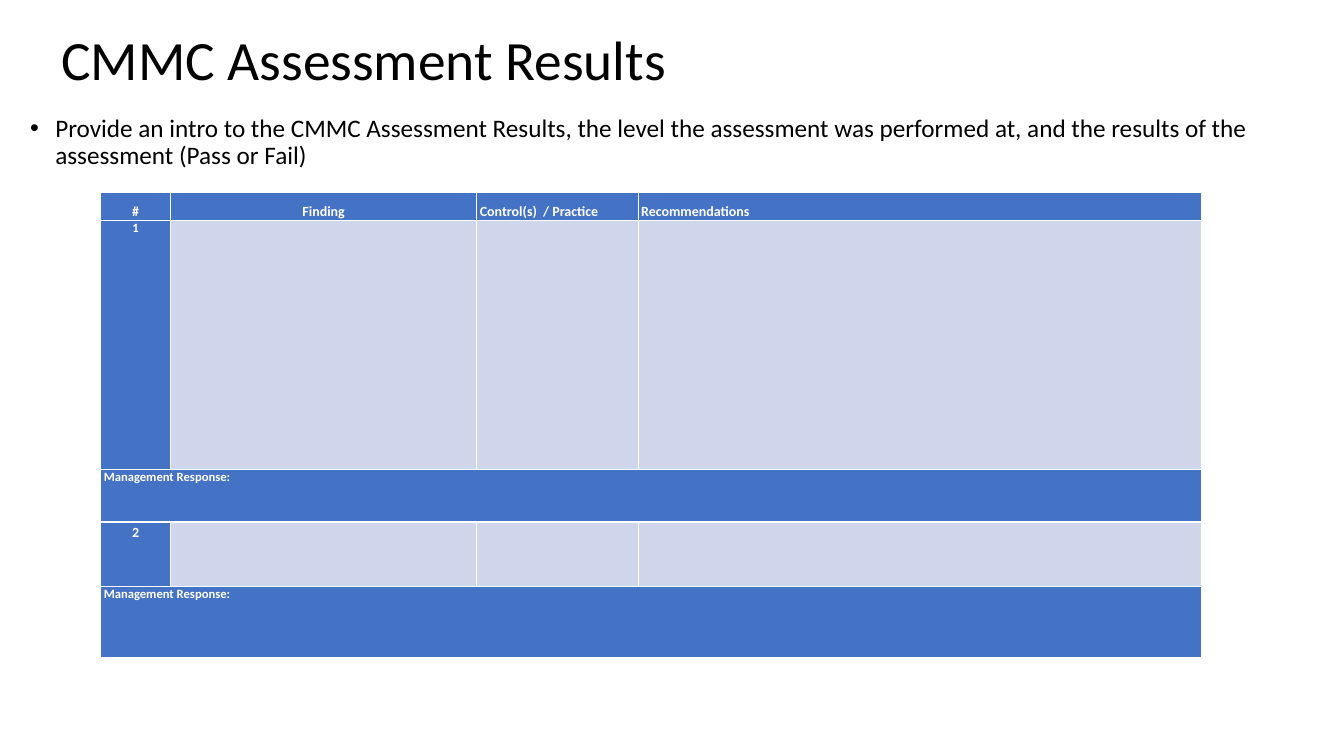
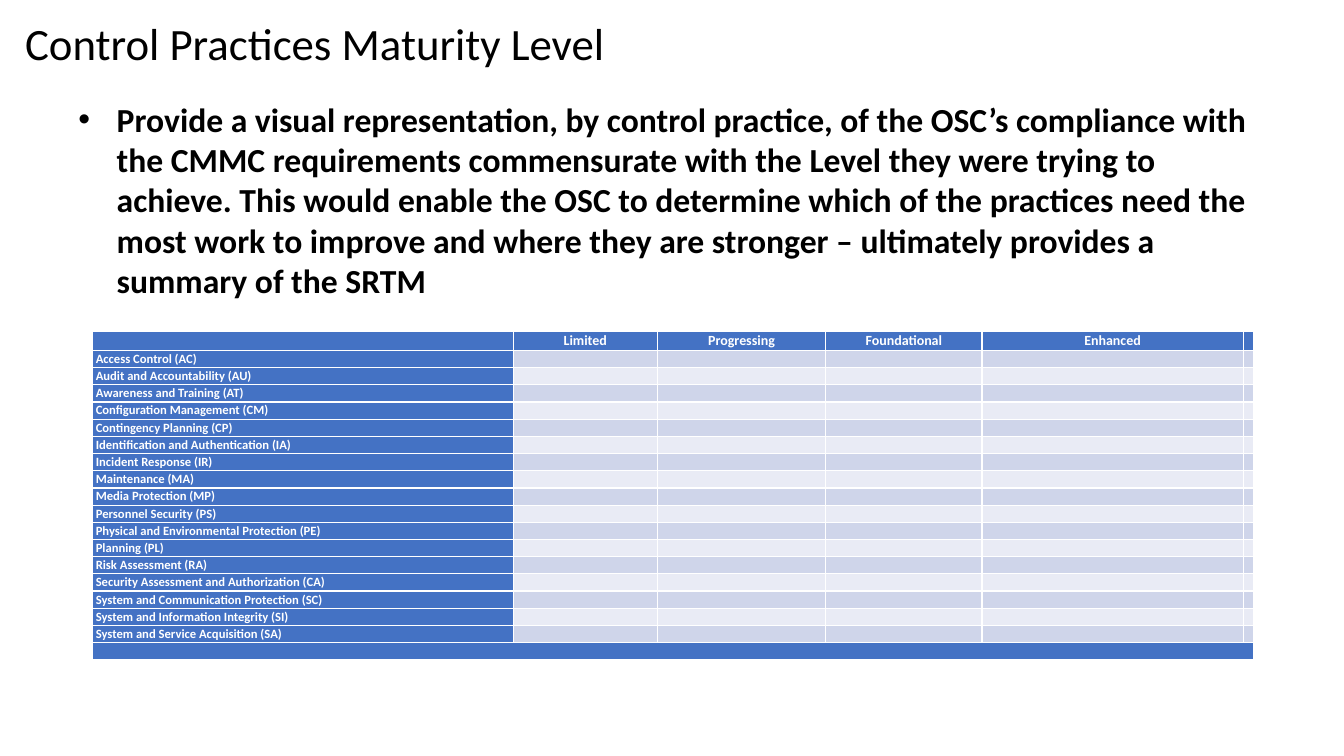
from lxml import etree
from pptx import Presentation
from pptx.dml.color import RGBColor
from pptx.enum.text import MSO_ANCHOR, PP_ALIGN
from pptx.oxml.ns import qn
from pptx.util import Inches, Pt

CENTER = PP_ALIGN.CENTER
TOP, MIDDLE, BOTTOM = MSO_ANCHOR.TOP, MSO_ANCHOR.MIDDLE, MSO_ANCHOR.BOTTOM
COLORS = {"text": "000000", "header": "4472C4", "header_text": "FFFFFF",
          "odd_band": "CFD5EA", "even_band": "E9EBF5"}
FONT = "Calibri"

RESULTS_TITLE = "CMMC Assessment Results"
RESULTS_INTRO = ("Provide an intro to the CMMC Assessment Results, the level the assessment was "
                 "performed at, and the results of the assessment (Pass or Fail)")
FINDING_HEADERS = ["#", "Finding", "Control(s)  / Practice", "Recommendations"]
FINDING_COLUMNS = [0.69, 3.04, 1.6, 5.59]
FINDING_ROWS = [0.28, 2.47, 0.52, 0.64, 0.7]
RESPONSE = "Management Response:"
EXACT = {"line_spacing": Pt(14), "size": 10}
LOOSE = {"before": 1.5, "after": 1.5, "size": 9}
FINDINGS = [("1", LOOSE), ("2", EXACT)]

MATURITY_TITLE = "Control Practices Maturity Level"
MATURITY_INTRO = ("Provide a visual representation, by control practice, of the OSC’s compliance with "
                  "the CMMC requirements commensurate with the Level they were trying to achieve. "
                  "This would enable the OSC to determine which of the practices need the most work "
                  "to improve and where they are stronger – ultimately provides a summary of the SRTM")
LEVELS = ["Limited", "Progressing", "Foundational", "Enhanced"]
LEVEL_COLUMNS = [4.17, 1.43, 1.67, 1.55, 2.59, 0.09]
PRACTICES = [
    "Access Control (AC)",
    "Audit and Accountability (AU)",
    "Awareness and Training (AT)",
    "Configuration Management (CM)",
    "Contingency Planning (CP)",
    "Identification and Authentication (IA)",
    "Incident Response (IR)",
    "Maintenance (MA)",
    "Media Protection (MP)",
    "Personnel Security (PS)",
    "Physical and Environmental Protection (PE)",
    "Planning (PL)",
    "Risk Assessment (RA)",
    "Security Assessment and Authorization (CA)",
    "System and Communication Protection (SC)",
    "System and Information Integrity (SI)",
    "System and Service Acquisition (SA)",
]
LEVEL_ROWS = [0.18] + [0.17] * (len(PRACTICES) + 1)
TIGHT = {"before": 0.5, "after": 0.5}


def write(frame, text, size=18, color="text", bold=False, align=None, anchor=TOP,
          line_spacing=None, before=0, after=0, hanging=None):
    frame.word_wrap = True
    frame.vertical_anchor = anchor
    paragraph = frame.paragraphs[0]
    paragraph.alignment = align
    paragraph.line_spacing = line_spacing
    paragraph.space_before, paragraph.space_after = Pt(before), Pt(after)
    run = paragraph.add_run()
    run.text = text
    run.font.name, run.font.size, run.font.bold = FONT, Pt(size), bold
    run.font.color.rgb = RGBColor.from_string(COLORS[color])
    if hanging:
        properties = paragraph._p.get_or_add_pPr()
        properties.set("marL", str(Inches(hanging)))
        properties.set("indent", str(-Inches(hanging)))
        etree.SubElement(properties, qn("a:buFont")).set("typeface", "Arial")
        etree.SubElement(properties, qn("a:buChar")).set("char", "•")


def add_text(slide, place, text, **style):
    box = slide.shapes.add_textbox(*map(Inches, place))
    write(box.text_frame, text, **style)


def add_title(slide, place, text, size):
    add_text(slide, place, text, size=size, anchor=MIDDLE, line_spacing=0.9)


def add_grid(slide, left, top, columns, rows):
    frame = slide.shapes.add_table(len(rows), len(columns), Inches(left), Inches(top),
                                   Inches(sum(columns)), Inches(sum(rows)))
    grid = frame.table
    for column, width in zip(grid.columns, columns):
        column.width = Inches(width)
    for row, height in zip(grid.rows, rows):
        row.height = Inches(height)
    return grid


def fill_cell(cell, color, text="", inset=0, anchor=TOP, **style):
    cell.fill.solid()
    cell.fill.fore_color.rgb = RGBColor.from_string(COLORS[color])
    cell.margin_left = cell.margin_right = Inches(0.03)
    cell.margin_top = cell.margin_bottom = Inches(inset)
    cell.vertical_anchor = anchor
    if text:
        write(cell.text_frame, text, color="header_text", bold=True, anchor=None, **style)
    else:
        end = etree.SubElement(cell.text_frame.paragraphs[0]._p, qn("a:endParaRPr"))
        end.set("sz", "800")


def merge_row(grid, row):
    first = grid.cell(row, 0)
    first.merge(grid.cell(row, len(grid.columns) - 1))
    return first


def build_results(slide):
    add_title(slide, (0.51, 0.24, 11.5, 0.75), RESULTS_TITLE, 39.6)
    add_text(slide, (0.2, 1.1, 12.94, 0.75), RESULTS_INTRO, line_spacing=0.9, before=10,
             hanging=0.25)
    grid = add_grid(slide, 1, 1.91, FINDING_COLUMNS, FINDING_ROWS)
    for column, header in enumerate(FINDING_HEADERS):
        fill_cell(grid.cell(0, column), "header", header, anchor=BOTTOM,
                  align=CENTER if column < 2 else None, **EXACT)
    for index, (number, style) in enumerate(FINDINGS):
        row = 1 + 2 * index
        fill_cell(grid.cell(row, 0), "header", number, align=CENTER, **style)
        for column in range(1, len(FINDING_COLUMNS)):
            fill_cell(grid.cell(row, column), "odd_band")
        fill_cell(merge_row(grid, row + 1), "header", RESPONSE, **LOOSE)


def build_maturity(slide):
    add_title(slide, (0.15, 0.12, 13.03, 0.67), MATURITY_TITLE, 32)
    add_text(slide, (0.68, 0.93, 11.97, 2.39), MATURITY_INTRO, size=24, bold=True, hanging=0.38)
    grid = add_grid(slide, 0.92, 3.29, LEVEL_COLUMNS, LEVEL_ROWS)
    for column, level in enumerate(["", *LEVELS, ""]):
        fill_cell(grid.cell(0, column), "header", level, inset=0.01, size=10, align=CENTER, **TIGHT)
    for row, practice in enumerate(PRACTICES, 1):
        fill_cell(grid.cell(row, 0), "header", practice, inset=0.01, anchor=MIDDLE, size=9, **TIGHT)
        for column in range(1, len(LEVEL_COLUMNS)):
            fill_cell(grid.cell(row, column), "odd_band" if row % 2 else "even_band")
    fill_cell(merge_row(grid, len(PRACTICES) + 1), "header")


def main():
    deck = Presentation()
    deck.slide_width, deck.slide_height = Inches(13.33), Inches(7.5)
    for build in (build_results, build_maturity):
        build(deck.slides.add_slide(deck.slide_layouts[6]))
    deck.save("out.pptx")


if __name__ == "__main__":
    main()
